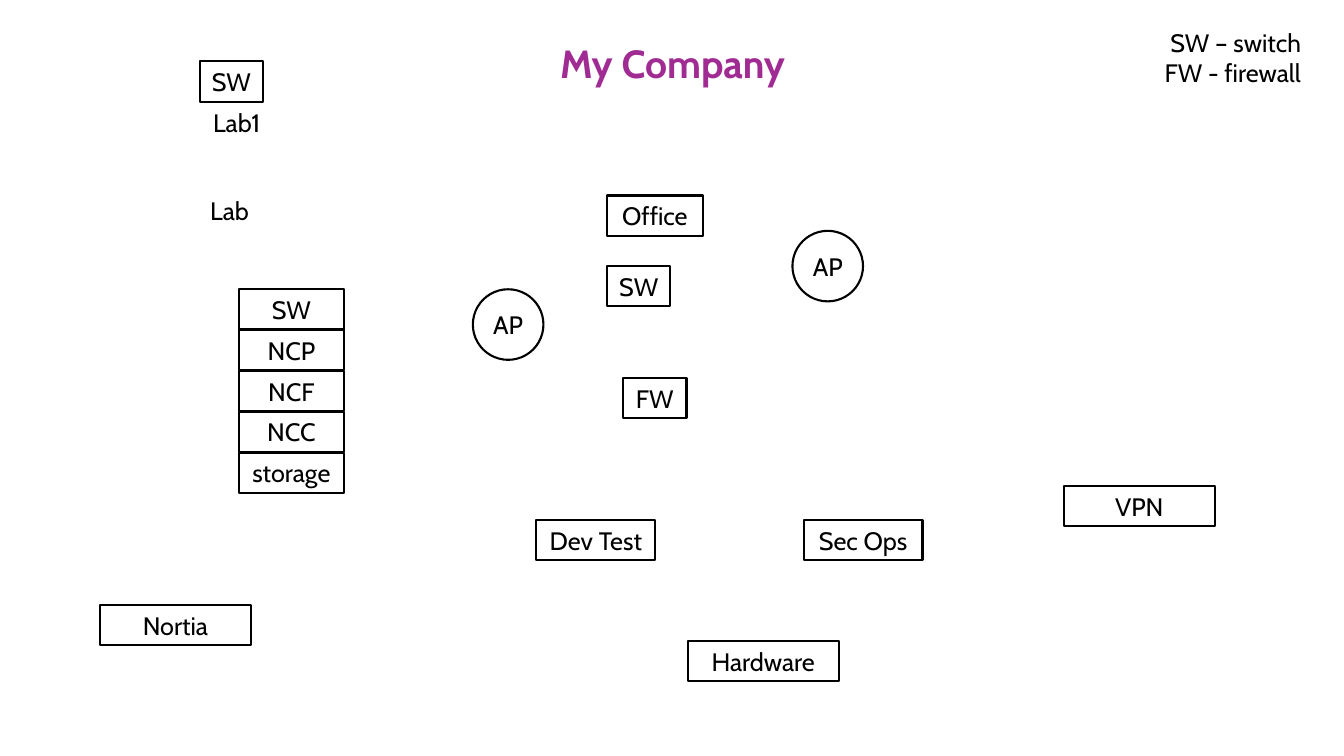
from lxml.etree import SubElement
from pptx import Presentation
from pptx.dml.color import RGBColor
from pptx.enum.shapes import MSO_SHAPE
from pptx.enum.text import MSO_ANCHOR, MSO_AUTO_SIZE, PP_ALIGN
from pptx.oxml import parse_xml
from pptx.oxml.ns import nsdecls
from pptx.util import Inches, Pt

# Content: text with its left and top in inches
COLORS = {"title": "A02B93", "ink": "000000", "halo": "FFFFFF"}
FONT = "Cabin"
TITLE = "My Company"
LABELS = [  # lines, left, top, width, height
    (["Lab "], 1.97, 1.89, 0.67, 0.4),
    (["Lab1 "], 1.97, 1.02, 0.81, 0.4),
    (["SW – switch", "FW - firewall "], 11.43, 0.22, 1.65, 0.71),
]
ACCESS_POINTS = [(7.86, 2.29), (4.69, 2.87)]
BOXES_BY_WIDTH = {
    0.63: [("SW", 6.02, 2.64), ("FW", 6.18, 3.75), ("SW", 1.98, 0.61)],
    0.95: [("Office", 6.02, 1.94)],
    1.18: [("Dev Test", 5.32, 5.16), ("Sec Ops", 7.97, 5.16)],
    1.5: [("Hardware", 6.82, 6.36), ("VPN", 10.55, 4.82), ("Nortia", 0.99, 6)],
}
RACK = ["SW", "NCP", "NCF", "NCC", "storage"]
RACK_LEFT, RACK_TOP, RACK_WIDTH, RACK_STEP = 2.37, 2.87, 1.04, 0.405
BOX_HEIGHT, CIRCLE_SIZE = 0.4, 0.7


def color(name):
    return RGBColor.from_string(COLORS[name])


def style_font(font, size, ink):
    font.name = FONT
    font.size = Pt(size)
    font.color.rgb = color(ink)


def write_lines(frame, lines):
    frame.word_wrap = True
    for index, line in enumerate(lines):
        para = frame.add_paragraph() if index else frame.paragraphs[0]
        para.text = line
        para.alignment = PP_ALIGN.CENTER
        style_font(para.font, 18, "ink")


def add_node(slide, kind, text, left, top, width, height):
    node = slide.shapes.add_shape(kind, *map(Inches, (left, top, width, height)))
    node.shadow.inherit = False
    node.fill.background()
    node.line.color.rgb = color("ink")
    node.line.width = Pt(1.5)
    node.text_frame.vertical_anchor = MSO_ANCHOR.MIDDLE
    write_lines(node.text_frame, [text])


def add_title(slide):
    title = slide.shapes.title
    title.left, title.top, title.width, title.height = map(Inches, (5.41, 0.34, 2.52, 0.57))
    frame = title.text_frame
    frame.word_wrap = False
    frame.auto_size = MSO_AUTO_SIZE.SHAPE_TO_FIT_TEXT
    frame.vertical_anchor = MSO_ANCHOR.TOP
    para = frame.paragraphs[0]
    para.alignment = PP_ALIGN.CENTER
    span = para.add_run()
    span.text = TITLE
    style_font(span.font, 28, "title")
    span.font.bold = True
    # Thin white outline around the letters
    outline = parse_xml(
        f'<a:ln {nsdecls("a")} w="{Pt(0.75)}"><a:solidFill>'
        f'<a:srgbClr val="{COLORS["halo"]}"/></a:solidFill></a:ln>')
    span.font.fill  # the letter colour stays after the outline
    span._r.get_or_add_rPr().insert(0, outline)


def main():
    deck = Presentation()
    deck.slide_width, deck.slide_height = Inches(13.33), Inches(7.5)
    slide = deck.slides.add_slide(deck.slide_layouts[5])
    add_title(slide)

    # Plain labels and legend
    for lines, *place in LABELS:
        label = slide.shapes.add_textbox(*map(Inches, place))
        write_lines(label.text_frame, lines)
        label.text_frame.auto_size = MSO_AUTO_SIZE.SHAPE_TO_FIT_TEXT

    # Access points
    for left, top in ACCESS_POINTS:
        add_node(slide, MSO_SHAPE.OVAL, "AP", left, top, CIRCLE_SIZE, CIRCLE_SIZE)

    # Single boxes
    for width, boxes in BOXES_BY_WIDTH.items():
        for text, left, top in boxes:
            add_node(slide, MSO_SHAPE.RECTANGLE, text, left, top, width, BOX_HEIGHT)

    # Lab rack, stacked from the top
    for row, text in enumerate(RACK):
        add_node(slide, MSO_SHAPE.RECTANGLE, text, RACK_LEFT,
                 RACK_TOP + row * RACK_STEP, RACK_WIDTH, BOX_HEIGHT)

    deck.save("out.pptx")


if __name__ == "__main__":
    main()
